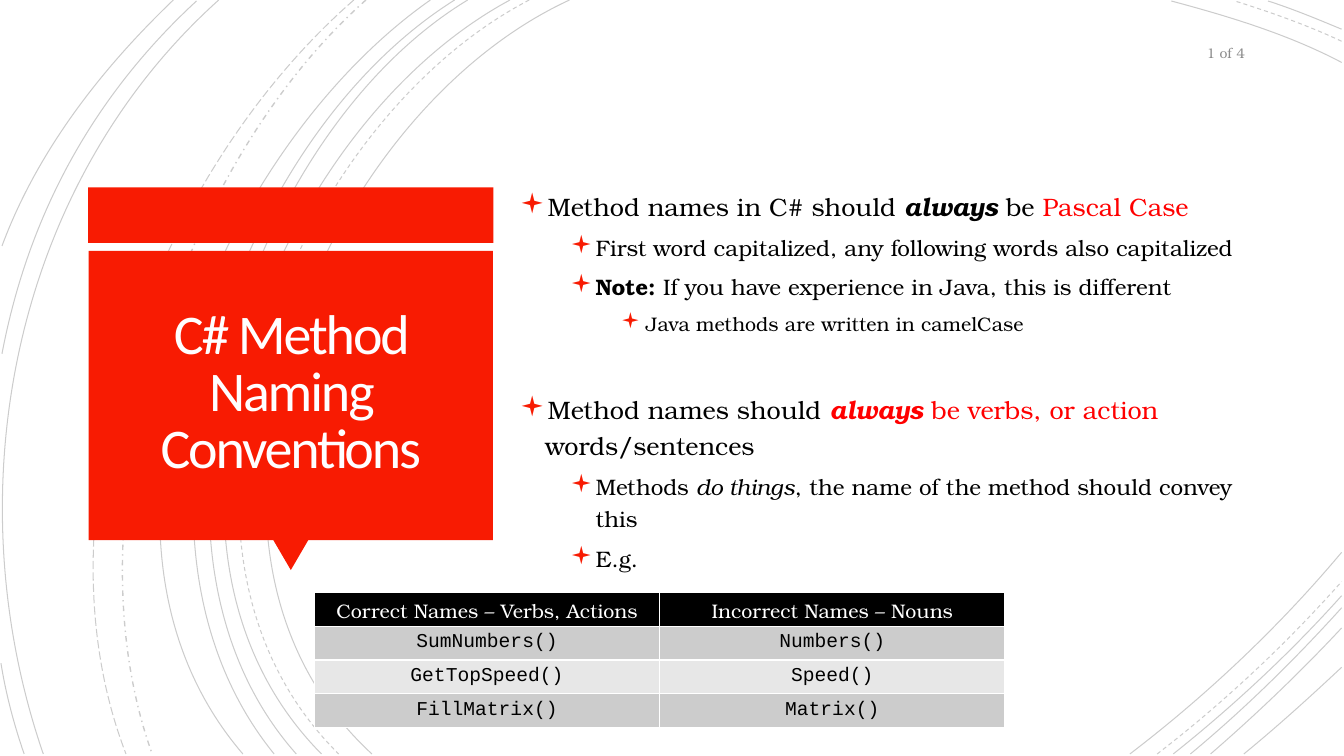
from dataclasses import dataclass

from lxml import etree
from pptx import Presentation
from pptx import util as u
from pptx.dml import color
from pptx.enum import dml, shapes, text
from pptx.oxml import ns


@dataclass(frozen=True)
class Theme:
    red: str = "F81B02"
    accent: str = "FF0000"
    ink: str = "000000"
    white: str = "FFFFFF"
    title_ink: str = "FFFEFF"
    muted: str = "8C8C8C"
    bands: tuple = ("CCCCCC", "E7E7E7")
    arc_opacity: int = 20
    serif: str = "TeX Gyre Bonum"
    sans: str = "Calibri"
    mono: str = "Courier New"
    bullet: str = "Wingdings"
    title: int = 40
    levels: tuple = (18, 16, 14)
    cell: int = 14
    small: int = 10


THEME = Theme()
GRID = u.Inches(0.1)
COLUMNS, ROWS = 133.33, 75
ARC_END, ARC_RIGHT = 74.8, 133.1

TITLE = "C# Method Naming Conventions"
PAGE_NUMBER = "1 of 4"
RED = {"ink": THEME.accent}
STRONG = {"bold": True, "italic": True}
BULLETS = [
    (0, 10, [("Method names in C# should ", {}), ("always", STRONG), (" be ", {}), ("Pascal Case", RED)]),
    (1, 5, [("First word capitalized, any following words also capitalized", {})]),
    (1, 5, [("Note:", {"bold": True}), (" If you have experience in Java, this is different", {})]),
    (2, 5, [("Java methods are written in camelCase", {})]),
    (0, 38, [("Method names should ", {}), ("always", STRONG | RED),
             (" be verbs, or action ", RED), ("words/sentences", {})]),
    (1, 5, [("Methods ", {}), ("do things", {"italic": True}),
            (", the name of the method should convey this", {})]),
    (1, 5, [("E.g.", {})]),
]
NAMES = [
    ("Correct Names – Verbs, Actions", "Incorrect Names – Nouns"),
    ("SumNumbers()", "Numbers()"),
    ("GetTopSpeed()", "Speed()"),
    ("FillMatrix()", "Matrix()"),
]

SOLID, DASH = dml.MSO_LINE.SOLID, dml.MSO_LINE.DASH
TALL_ARCS = [
    (56.5, 31.5, 11.5, 14.3, 54, 36.9, SOLID),
    (52.5, 28.5, 12.5, 12.3, 53.7, 33.6, DASH),
    (50.6, 27, 12.7, 11, 53.7, 31.9, SOLID),
    (46.4, 24.4, 13.3, 11, 54.1, 29.4, SOLID),
    (45.1, 23.1, 13.8, 9.7, 53.3, 27.2, SOLID),
    (42.7, 21.7, 14.7, 5.3, 52.9, 24.1, SOLID),
    (36.3, 17.6, 16.6, 6.5, 50.9, 15.1, dml.MSO_LINE.DASH_DOT),
    (35.1, 15.7, 16.9, 2.9, 49.9, 12.5, dml.MSO_LINE.LONG_DASH),
    (21.7, 1.1, 18.5, -4.6, 49, 4.3, SOLID),
]
RIGHT_ARCS = [
    (133.1, 6.2, 127.8, 3.4, 121.8, 1.6, 116.2, 0.1, SOLID),
    (133.1, 4.1, 129.7, 2.5, 126, 1.2, 122.5, 0.1, DASH),
    (133.1, 2.9, 130.7, 1.9, 128.3, 0.9, 125.8, 0.1, SOLID),
]
CORNER_ARCS = [
    (112.1, 119.7, 69, 126.9, 62.2, 54.8, SOLID),
    (114.8, 121.3, 69.8, 127.5, 64, 57.7, DASH),
    (116.4, 122.3, 70.1, 128, 64.8, 59.1, SOLID),
    (118.1, 123.4, 70.4, 128.4, 65.5, 60.3, SOLID),
    (120.1, 124.6, 70.9, 129, 66.7, 62.3, SOLID),
    (123.4, 126.7, 72.1, 129.9, 69.2, 66.2, SOLID),
]
LEFT_ARCS = [
    (19.5, 0.1, 9.2, 9.6, 2.8, 21.4, 0.2, 35.1, SOLID),
    (0.1, 65.8, 0.6, 68.9, 1.4, 71.9, 2.4, 74.8, SOLID),
    (17.2, 0, 10, 6.9, 3.7, 15, 0.2, 24.4, SOLID),
]
CARD_PARTS = [
    (shapes.MSO_SHAPE.RECTANGLE, (8.75, 18.6, 40.2, 5.5), 0),
    (shapes.MSO_SHAPE.ISOSCELES_TRIANGLE, (27.1, 53.55, 3.5, 3), 180),
    (shapes.MSO_SHAPE.RECTANGLE, (8.8, 24.9, 40.1, 28.7), 0),
]
TITLE_AREA = (9.7, 25.7, 38.3, 26.9)
BODY_AREA = (50.6, 15.1, 73.9, 44.9)
NUMBER_AREA = (114.5, 3.5, 10, 3.5)
TABLE_AREA = (31.2, 58.8, 68.5, 13.3)
HEADER_ROW, NAME_ROW = 3.1, 3.2


def cells(values):
    return [round(value * GRID) for value in values]


def rgb(value):
    return color.RGBColor.from_string(value)


def child(parent, tag, **attributes):
    return etree.SubElement(parent, ns.qn(tag), attributes)


def write(para, wording, size, font=THEME.serif, ink=THEME.ink, bold=False, italic=False, spacing=None):
    span = para.add_run()
    span.text = wording
    span.font.size = u.Pt(size)
    span.font.name = font
    span.font.color.rgb = rgb(ink)
    span.font.bold = bold
    span.font.italic = italic
    if spacing is not None:
        span.font._element.set("spc", str(spacing))


def add_frame(page, area, inset=None):
    frame = page.shapes.add_textbox(*cells(area)).text_frame
    frame.word_wrap = True
    frame.vertical_anchor = text.MSO_ANCHOR.MIDDLE
    if inset is not None:
        frame.margin_left = frame.margin_right = frame.margin_top = frame.margin_bottom = u.Inches(inset)
    return frame


def add_arc(page, *curve):
    *numbers, dash = curve
    lengths = cells(numbers)
    points = list(zip(lengths[::2], lengths[1::2]))
    builder = page.shapes.build_freeform(*points[0])
    builder.add_line_segments(points[1:], close=False)
    arc = builder.convert_to_shape()
    outline = arc._element.find(".//" + ns.qn("a:path"))
    bend = child(outline, "a:cubicBezTo")
    for segment in outline.findall(ns.qn("a:lnTo")):
        bend.append(segment[0])
        outline.remove(segment)
    arc.shadow.inherit = False
    arc.fill.background()
    arc.line.color.rgb = rgb(THEME.ink)
    tint = arc.line._ln.find(".//" + ns.qn("a:srgbClr"))
    child(tint, "a:alpha", val=str(THEME.arc_opacity * 1000))
    arc.line.width = u.Pt(1 if dash == dml.MSO_LINE.DASH_DOT else 0.75)
    arc.line.dash_style = dash


def add_arcs(page):
    for start, *bends, end, dash in TALL_ARCS:
        add_arc(page, start, 0, *bends, end, ARC_END, dash)
    for start, *bends, end, dash in CORNER_ARCS:
        add_arc(page, start, ARC_END, *bends, ARC_RIGHT, end, dash)
    for arc in RIGHT_ARCS + LEFT_ARCS:
        add_arc(page, *arc)


def add_title_card(page):
    for kind, area, rotation in CARD_PARTS:
        part = page.shapes.add_shape(kind, *cells(area))
        part.shadow.inherit = False
        part.fill.solid()
        part.fill.fore_color.rgb = rgb(THEME.red)
        part.line.fill.background()
        part.rotation = rotation
    para = add_frame(page, TITLE_AREA, inset=0.25).paragraphs[0]
    para.alignment = text.PP_ALIGN.CENTER
    para.line_spacing = 0.85
    write(para, TITLE, THEME.title, font=THEME.sans, ink=THEME.title_ink, spacing=-150)


def add_bullets(page):
    frame = add_frame(page, BODY_AREA)
    for index, (level, before, spans) in enumerate(BULLETS):
        para = frame.add_paragraph() if index else frame.paragraphs[0]
        para.level = level
        para.line_spacing = 1.2
        para.space_before = u.Pt(before)
        layout = para._p.get_or_add_pPr()
        layout.set("marL", str(u.Inches(0.25 + 0.5 * level)))
        layout.set("indent", str(-u.Inches(0.25)))
        child(child(layout, "a:buClr"), "a:srgbClr", val=THEME.red)
        child(layout, "a:buSzPct", val="110000")
        child(layout, "a:buFont", typeface=THEME.bullet)
        child(layout, "a:buChar", char="▪")
        for wording, style in spans:
            write(para, wording, THEME.levels[level], **style)


def add_name_table(page):
    holder = page.shapes.add_table(len(NAMES), len(NAMES[0]), *cells(TABLE_AREA))
    table = holder.table
    for r, names in enumerate(NAMES):
        table.rows[r].height = round((NAME_ROW if r else HEADER_ROW) * GRID)
        for c, name in enumerate(names):
            cell = table.cell(r, c)
            cell.fill.solid()
            cell.fill.fore_color.rgb = rgb(THEME.bands[(r - 1) % 2] if r else THEME.ink)
            para = cell.text_frame.paragraphs[0]
            para.alignment = text.PP_ALIGN.CENTER
            write(para, name, THEME.cell, font=THEME.mono if r else THEME.serif,
                  ink=THEME.ink if r else THEME.white)
    holder.height = round(TABLE_AREA[3] * GRID)


def main():
    deck = Presentation()
    deck.slide_width, deck.slide_height = cells((COLUMNS, ROWS))
    page = deck.slides.add_slide(deck.slide_layouts[6])
    add_arcs(page)
    add_title_card(page)
    add_bullets(page)
    add_name_table(page)
    para = add_frame(page, NUMBER_AREA).paragraphs[0]
    para.alignment = text.PP_ALIGN.RIGHT
    write(para, PAGE_NUMBER, THEME.small, ink=THEME.muted)
    deck.save("out.pptx")


if __name__ == "__main__":
    main()
